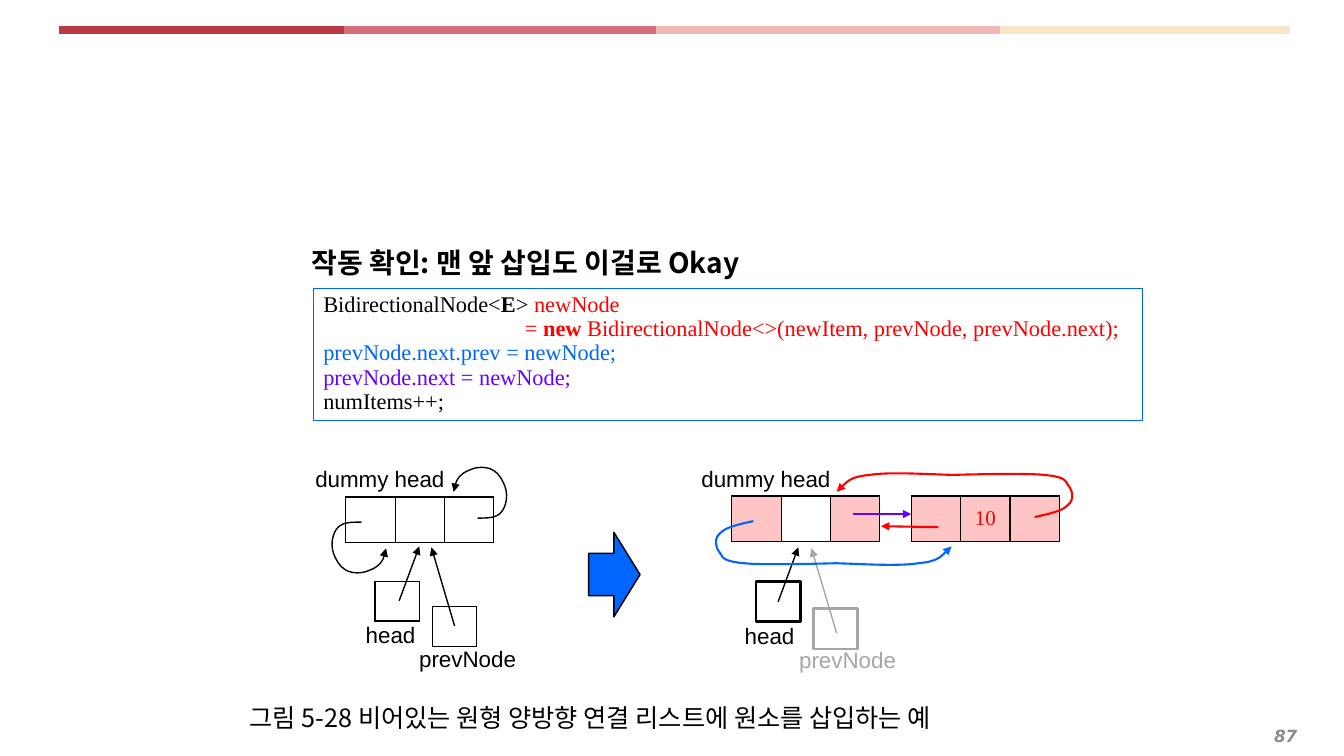
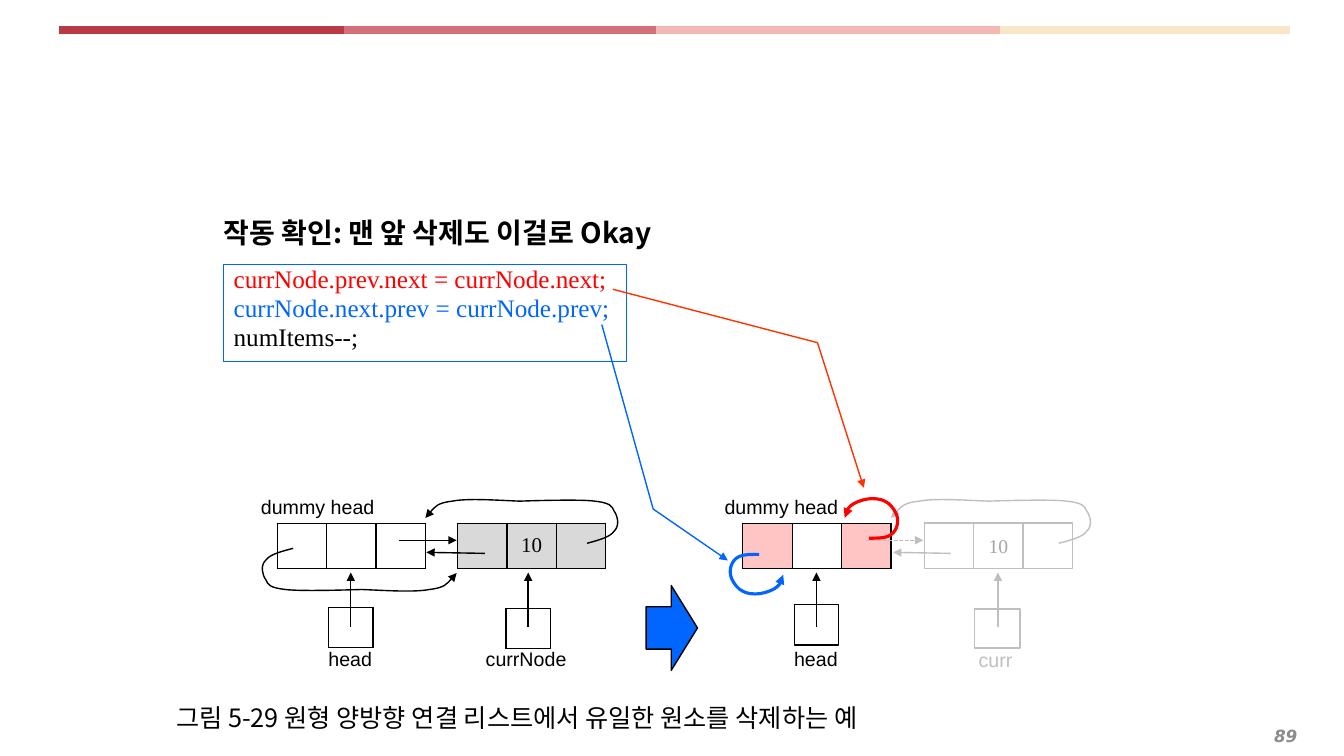
from dataclasses import dataclass

import pptx
import pptx.dml.color
import pptx.enum.dml
import pptx.enum.shapes
import pptx.enum.text
import pptx.oxml
import pptx.oxml.ns
import pptx.util

ANCHOR = pptx.enum.text.MSO_ANCHOR
ALIGN = pptx.enum.text.PP_ALIGN
SHAPE = pptx.enum.shapes.MSO_SHAPE
inch = pptx.util.Inches


@dataclass(frozen=True)
class Theme:
    black: str = "000000"
    red: str = "FF0000"
    orange: str = "FF3300"
    blue: str = "0066FF"
    violet: str = "6600FF"
    pink: str = "FFC5C5"
    silver: str = "D9D9D9"
    pale: str = "BFBFBF"
    gray: str = "A6A6A6"
    page_number: str = "8C8C8C"
    label_font: str = "Arial"
    code_font: str = "Times New Roman"
    korean_font: str = "Noto Sans CJK KR"
    number_font: str = "DejaVu Sans"
    title_size: float = 20
    caption_size: float = 18
    value_size: float = 15
    number_size: float = 12


T = Theme()
CELL_WIDTH, CELL_HEIGHT = 0.49, 0.45
POINTER_WIDTH, POINTER_HEIGHT = 0.44, 0.39
BAND_Y = 0.3
BANDS = [(3.1, 6.51, "D37079"), (6.51, 9.92, "F2B8B4"),
         (9.92, 12.8, "F8E6C7"), (0.59, 3.41, "B93945")]

# Loops above a node as shares of their box: a start, then cubic segments.
WIDE_LOOP = [
    (0.84, 1), (0.9, 0.93), (0.96, 0.86), (0.98, 0.73), (1.01, 0.61), (1, 0.39),
    (0.98, 0.27), (0.97, 0.16), (0.96, 0.09), (0.88, 0.05), (0.8, 0), (0.49, 0.05),
    (0.49, 0.05), (0.37, 0.03), (0.22, -0.02), (0.14, 0.05), (0.06, 0.09),
    (0.03, 0.27), (0, 0.43)]
SMALL_LOOP = [
    (0.46, 1), (0.6, 1), (0.75, 1), (0.83, 0.95), (0.92, 0.9), (0.96, 0.82),
    (0.99, 0.72), (1.02, 0.62), (1.02, 0.48), (0.98, 0.37), (0.94, 0.26),
    (0.87, 0.12), (0.77, 0.06), (0.69, 0), (0.56, -0.02), (0.45, 0), (0.33, 0.02),
    (0.17, 0.1), (0.11, 0.18), (0.04, 0.28), (0.02, 0.38), (0, 0.48)]

EMPTY = [None] * 3
ENDS = [T.pink, None, T.pink]

# nodes: left, top, fills, value, value colour; pointers: left, top
# frames: left, top, width, height, colour, weight, value
# arrows: from, to, colour, weight, dash; labels: text, left, top, width, colour
# loops: outline, box, turned, colour, weight; paths: points, colour
SLIDES = [
    dict(
        number="87",
        title=("작동 확인: 맨 앞 삽입도 이걸로 Okay", (2.99, 2.33, 5.09, 0.54)),
        caption=("그림 5-28 비어있는 원형 양방향 연결 리스트에 원소를 삽입하는 예",
                 (2.38, 6.92, 8.58, 0.4)),
        code=dict(box=(3.11, 2.86, 8.23, 1.31), size=16, spacing=0.9, before=0, lines=[
            [("BidirectionalNode<", T.black, False), ("E", T.black, True),
             ("> ", T.black, False), ("newNode", T.red, False)],
            [("\t\t= ", T.red, False), ("new ", T.red, True),
             ("BidirectionalNode<>(newItem, prevNode, prevNode.next);", T.red, False)],
            [("prevNode.next.prev = newNode;", T.blue, False)],
            [("prevNode.next = newNode;", T.violet, False)],
            [("numItems++;", T.black, False)]]),
        nodes=[(3.43, 4.93, EMPTY, "", T.black), (7.26, 4.92, ENDS, "", T.black),
               (9.04, 4.92, [T.pink] * 3, "10", T.red)],
        pointers=[(3.72, 5.77), (4.29, 6.02)],
        frames=[(7.5, 5.77, 0.44, 0.4, T.black, 2, ""),
                (8.07, 6.04, 0.44, 0.4, T.gray, 2, "")],
        arrows=[((8.46, 5.1), (9.04, 5.1), T.violet, 1.5, False),
                ((9.31, 5.23), (8.74, 5.22), T.red, 1.5, False),
                ((3.96, 5.96), (4.16, 5.42), T.black, 1, False),
                ((4.51, 6.21), (4.28, 5.43), T.black, 1, False),
                ((7.72, 5.97), (7.92, 5.43), T.black, 1, False),
                ((8.3, 6.28), (8.05, 5.44), T.gray, 1, False)],
        loops=[(WIDE_LOOP, (8.3, 4.69, 2.34, 0.44), False, T.red, 1.5),
               (WIDE_LOOP, (7.1, 5.17, 2.34, 0.44), True, T.blue, 1.5),
               (SMALL_LOOP, (4.5, 4.64, 0.52, 0.5), False, T.black, 1),
               (SMALL_LOOP, (3.3, 5.18, 0.53, 0.5), True, T.black, 1)],
        paths=[],
        label_size=16,
        labels=[("dummy head", 3.03, 4.57, 1.5, T.black),
                ("dummy head", 6.86, 4.57, 1.5, T.black),
                ("head", 3.53, 6.11, 0.7, T.black),
                ("head", 7.29, 6.12, 0.7, T.black),
                ("prevNode", 4.06, 6.35, 1.17, T.black),
                ("prevNode", 7.83, 6.36, 1.17, T.gray)],
        step=(5.84, 5.28)),
    dict(
        number="89",
        title=("작동 확인: 맨 앞 삭제도 이걸로 Okay", (2.12, 2.08, 5.03, 0.44)),
        caption=("그림 5-29 원형 양방향 연결 리스트에서 유일한 원소를 삭제하는 예",
                 (1.65, 6.92, 7.78, 0.4)),
        code=dict(box=(2.22, 2.62, 4, 0.97), size=18, spacing=0.8, before=3.6, lines=[
            [("currNode.prev.next = currNode.next;", T.red, False)],
            [("currNode.next.prev = currNode.prev;", T.blue, False)],
            [("numItems--;", T.black, False)]]),
        nodes=[(2.75, 5.19, EMPTY, "", T.black), (7.37, 5.19, ENDS, "", T.black),
               (4.54, 5.19, [T.silver] * 3, "10", T.black)],
        pointers=[(3.26, 6.03), (5.02, 6.04)],
        frames=[(7.88, 6, 0.44, 0.4, T.black, 1, ""),
                (9.67, 6.04, 0.45, 0.39, T.pale, 1, "")]
        + [(9.17 + i * CELL_WIDTH, 5.19, CELL_WIDTH, CELL_HEIGHT, T.pale, 1, value)
           for i, value in enumerate(["", "10", ""])],
        arrows=[((x, 6.22), (x, 5.68), color, 1, False) for x, color in
                [(3.48, T.black), (5.24, T.black), (8.1, T.black), (9.9, T.pale)]]
        + [((3.96, 5.36), (4.53, 5.36), T.black, 1, False),
           ((4.81, 5.49), (4.23, 5.48), T.black, 1, False),
           ((8.59, 5.36), (9.16, 5.36), T.pale, 1, True),
           ((9.43, 5.49), (8.86, 5.48), T.pale, 1, False)],
        loops=[(WIDE_LOOP, (4.22, 4.95, 1.91, 0.44), False, T.black, 1),
               (WIDE_LOOP, (2.6, 5.44, 1.93, 0.43), True, T.black, 1),
               (WIDE_LOOP, (8.84, 4.95, 1.98, 0.44), False, T.pale, 1),
               (SMALL_LOOP, (8.38, 4.95, 0.52, 0.39), False, T.red, 2.25),
               (SMALL_LOOP, (7.25, 5.5, 0.52, 0.39), True, T.blue, 2.25)],
        paths=[([(6.08, 2.87), (8.11, 3.4), (8.57, 4.84)], T.orange),
               ([(5.97, 3.22), (6.48, 5.05), (7.22, 5.56)], T.blue)],
        label_size=14,
        labels=[("dummy head", 2.49, 4.86, 1.33, T.black),
                ("dummy head", 7.09, 4.86, 1.33, T.black),
                ("head", 3.16, 6.37, 0.64, T.black),
                ("head", 7.78, 6.37, 0.64, T.black),
                ("currNode", 4.72, 6.37, 1.01, T.black),
                ("curr", 9.61, 6.38, 0.54, T.pale)],
        step=(6.41, 5.81)),
]


def rgb(color):
    return pptx.dml.color.RGBColor.from_string(color)


def add_element(parent, tag, **attributes):
    child = pptx.oxml.parse_xml(f"<a:{tag} {pptx.oxml.ns.nsdecls('a')}/>")
    for name, value in attributes.items():
        child.set(name, str(value))
    parent.append(child)
    return child


def add_run(para, text, font, size, color, bold=False, italic=False):
    span = para.add_run()
    span.text = text
    span.font.name, span.font.size = font, pptx.util.Pt(size)
    span.font.bold, span.font.italic = bold, italic
    span.font.color.rgb = rgb(color)


def add_text(page, box, text, font, size, color, bold=False, italic=False,
             anchor=ANCHOR.TOP, align=ALIGN.LEFT, wrap=True):
    frame = page.shapes.add_textbox(*map(inch, box)).text_frame
    frame.word_wrap, frame.vertical_anchor = wrap, anchor
    para = frame.paragraphs[0]
    para.alignment = align
    add_run(para, text, font, size, color, bold, italic)


def style_line(shape, color, weight, arrow=False, dashed=False):
    shape.line.color.rgb = rgb(color)
    shape.line.width = pptx.util.Pt(weight)
    if dashed:
        shape.line.dash_style = pptx.enum.dml.MSO_LINE.SQUARE_DOT
    if arrow:
        add_element(shape.line._get_or_add_ln(), "tailEnd", type="triangle")


def add_line(page, start, end, color, weight, arrow=False, dashed=False):
    line = page.shapes.add_connector(pptx.enum.shapes.MSO_CONNECTOR.STRAIGHT,
                                     *map(inch, start + end))
    style_line(line, color, weight, arrow, dashed)
    add_element(line._element.spPr, "effectLst")


def add_preset(page, kind, box, color, weight, fill=None):
    shape = page.shapes.add_shape(kind, *map(inch, box))
    shape.shadow.inherit = False
    if fill:
        shape.fill.solid()
        shape.fill.fore_color.rgb = rgb(fill)
    else:
        shape.fill.background()
    style_line(shape, color, weight)
    return shape


def add_path(page, points, color, weight, curved=False):
    """Draw an open outline with an arrowhead; curved takes cubic segments."""
    points = [(inch(x), inch(y)) for x, y in points]
    builder = page.shapes.build_freeform(*points[0])
    builder.add_line_segments(points[1:], close=False)
    shape = builder.convert_to_shape()
    if curved:
        lines = list(shape._element.iter(pptx.oxml.ns.qn("a:lnTo")))
        outline = lines[0].getparent()
        for first in range(0, len(lines), 3):
            curve = add_element(outline, "cubicBezTo")
            for line in lines[first:first + 3]:
                curve.append(line[0])
                outline.remove(line)
    shape.shadow.inherit = False
    shape.fill.background()
    style_line(shape, color, weight, arrow=True)


def loop_points(outline, box, turned):
    """Fit an outline to a box, turned by half a circle if asked."""
    left, top, width, height = box
    if turned:
        outline = [(1 - x, 1 - y) for x, y in outline]
    return [(left + x * width, top + y * height) for x, y in outline]


def add_cells(page, left, top, width, height, fills, value="", color=T.black):
    """Draw a one-row table with the value in its middle cell."""
    count = len(fills)
    table = page.shapes.add_table(1, count, inch(left), inch(top),
                                  inch(width * count), inch(height)).table
    table.first_row = table.horz_banding = False
    for index, fill in enumerate(fills):
        table.columns[index].width = inch(width)
        cell = table.cell(0, index)
        cell.margin_left = cell.margin_right = inch(0.07)
        cell.margin_top = cell.margin_bottom = inch(0.04)
        cell.vertical_anchor = ANCHOR.MIDDLE
        para = cell.text_frame.paragraphs[0]
        para.alignment = ALIGN.CENTER
        para.font.size = pptx.util.Pt(T.value_size)
        if value and index == count // 2:
            add_run(para, value, T.code_font, T.value_size, color)
        properties = cell._tc.get_or_add_tcPr()
        for side in "LRTB":
            border = add_element(properties, "ln" + side, w=pptx.util.Pt(1))
            add_element(add_element(border, "solidFill"), "srgbClr", val=T.black)
        if fill:
            cell.fill.solid()
            cell.fill.fore_color.rgb = rgb(fill)
        else:
            cell.fill.background()


def add_code(page, box, size, spacing, before, lines):
    frame = add_preset(page, SHAPE.RECTANGLE, box, T.blue, 0.75).text_frame
    frame.word_wrap, frame.vertical_anchor = True, ANCHOR.TOP
    for index, line in enumerate(lines):
        para = frame.add_paragraph() if index else frame.paragraphs[0]
        para.alignment, para.line_spacing = ALIGN.LEFT, spacing
        if index and before:
            para.space_before = pptx.util.Pt(before)
        tabs = line[0][0].count("\t")
        if tabs:
            stops = add_element(para._p.get_or_add_pPr(), "tabLst")
            for stop in range(1, tabs + 1):
                add_element(stops, "tab", pos=inch(stop), algn="l")
        for text, color, bold in line:
            add_run(para, text, T.code_font, size, color, bold)


def add_page(deck, content):
    page = deck.slides.add_slide(deck.slide_layouts[6])
    for start, end, color in BANDS:
        add_line(page, (start, BAND_Y), (end, BAND_Y), color, 6)
    add_text(page, (0.2, 7.14, 12.77, 0.31), content["number"], T.number_font,
             T.number_size, T.page_number, True, True, ANCHOR.MIDDLE, ALIGN.RIGHT)
    title, box = content["title"]
    add_text(page, box, title, T.korean_font, T.title_size, T.black, True,
             anchor=ANCHOR.MIDDLE)
    add_code(page, **content["code"])
    for left, top, fills, value, color in content["nodes"]:
        add_cells(page, left, top, CELL_WIDTH, CELL_HEIGHT, fills, value, color)
    for left, top in content["pointers"]:
        add_cells(page, left, top, POINTER_WIDTH, POINTER_HEIGHT, [None])
    for *box, color, weight, value in content["frames"]:
        shape = add_preset(page, SHAPE.RECTANGLE, box, color, weight)
        if value:
            para = shape.text_frame.paragraphs[0]
            para.alignment = ALIGN.CENTER
            add_run(para, value, T.code_font, content["label_size"], T.gray)
    for start, end, color, weight, dashed in content["arrows"]:
        add_line(page, start, end, color, weight, True, dashed)
    for outline, box, turned, color, weight in content["loops"]:
        add_path(page, loop_points(outline, box, turned), color, weight, curved=True)
    for points, color in content["paths"]:
        add_path(page, points, color, 1)
    for text, left, top, width, color in content["labels"]:
        add_text(page, (left, top, width, 0.37), text, T.label_font,
                 content["label_size"], color, wrap=False)
    step = add_preset(page, SHAPE.RIGHT_ARROW, content["step"] + (0.51, 0.84),
                      T.black, 1, T.blue)
    step.adjustments[1] = 0.51
    caption, box = content["caption"]
    add_text(page, box, caption, T.korean_font, T.caption_size, T.black)


def main():
    deck = pptx.Presentation()
    deck.slide_width, deck.slide_height = inch(40 / 3), inch(7.5)
    for content in SLIDES:
        add_page(deck, content)
    deck.save("out.pptx")


if __name__ == "__main__":
    main()
